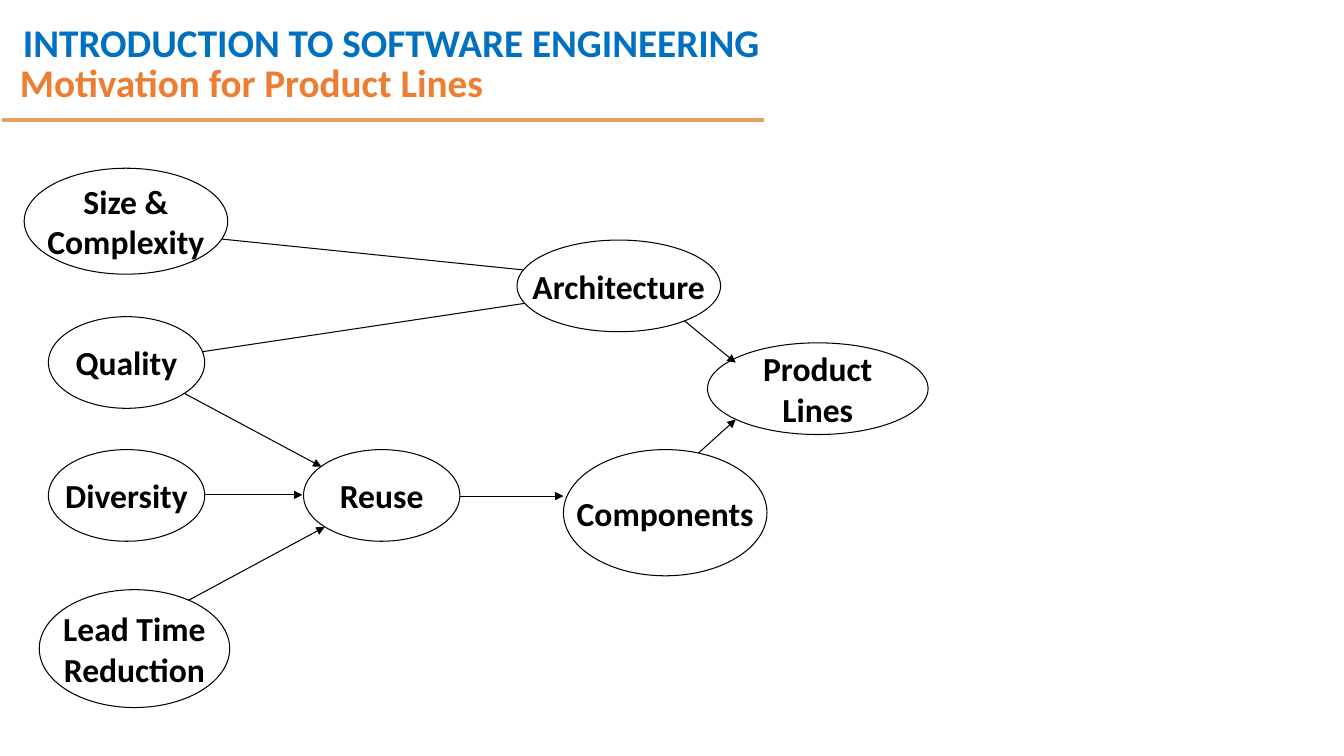
from dataclasses import dataclass

from lxml.etree import SubElement
from pptx import Presentation
from pptx.dml.color import RGBColor
from pptx.enum.shapes import MSO_CONNECTOR, MSO_SHAPE
from pptx.enum.text import MSO_ANCHOR, PP_ALIGN
from pptx.oxml.ns import qn
from pptx.util import Cm, Pt


@dataclass(frozen=True)
class Theme:
    font: str = "Calibri"
    blue: RGBColor = RGBColor(0x00, 0x70, 0xC0)
    orange: RGBColor = RGBColor(0xED, 0x7D, 0x31)
    rule: RGBColor = RGBColor(0xDF, 0xA2, 0x67)
    ink: RGBColor = RGBColor(0, 0, 0)
    paper: RGBColor = RGBColor(0xFF, 0xFF, 0xFF)
    heading: Pt = Pt(28)
    label: Pt = Pt(24)
    thin: Pt = Pt(0.75)
    thick: Pt = Pt(3)


THEME = Theme()

# Label, left, top, width, height (cm), filled
BUBBLES = [
    ("Size &\vComplexity", 0.61, 4.24, 5.13, 2.67, True),
    ("Quality", 1.22, 7.98, 3.94, 2.31, True),
    ("Diversity", 1.22, 11.33, 3.94, 2.31, True),
    ("Lead Time\nReduction", 0.99, 14.86, 4.8, 2.97, True),
    ("Architecture", 13.03, 6.05, 5.13, 2.31, True),
    ("Reuse", 7.65, 11.33, 3.94, 2.31, True),
    ("Components", 14.2, 11.33, 5.13, 3.18, True),
    ("Product\nLines", 17.83, 8.64, 5.56, 2.31, False),
]

# Start x, y and end x, y (cm)
ARROWS = [
    (3.3, 5.79, 14.25, 6.91),     # size to architecture
    (3.25, 9.14, 14.25, 7.49),    # quality to architecture
    (3.35, 9.22, 8.1, 11.76),     # quality to reuse
    (3.35, 12.47, 7.62, 12.47),   # diversity to reuse
    (3.35, 15.88, 8.18, 13.28),   # lead time to reuse
    (11.58, 12.5, 14.2, 12.5),    # reuse to components
    (16.18, 7.21, 18.54, 9.14),   # architecture to product lines
    (16.18, 12.7, 18.54, 10.57),  # components to product lines
]


def style(p, size, color):
    p.font.name = THEME.font
    p.font.size = size
    p.font.bold = True
    p.font.color.rgb = color


def add_heading(s, text, box, color, spacing, anchor):
    tf = s.shapes.add_textbox(*map(Cm, box)).text_frame
    tf.word_wrap = True
    tf.vertical_anchor = anchor
    p = tf.paragraphs[0]
    p.text = text
    p.line_spacing = spacing
    style(p, THEME.heading, color)


def add_line(s, ends, color, width, arrow=False):
    line = s.shapes.add_connector(MSO_CONNECTOR.STRAIGHT, *map(Cm, ends))
    line.line.color.rgb = color
    line.line.width = width
    if arrow:
        SubElement(line.line._get_or_add_ln(), qn("a:tailEnd"), type="triangle")
    SubElement(line._element.spPr, qn("a:effectLst"))


def add_bubble(s, text, left, top, width, height, filled):
    sp = s.shapes.add_shape(MSO_SHAPE.OVAL, Cm(left), Cm(top), Cm(width), Cm(height))
    sp.shadow.inherit = False
    if filled:
        sp.fill.solid()
        sp.fill.fore_color.rgb = THEME.paper
    else:
        sp.fill.background()
    sp.line.color.rgb = THEME.ink
    sp.line.width = THEME.thin
    tf = sp.text_frame
    tf.word_wrap = False
    tf.vertical_anchor = MSO_ANCHOR.MIDDLE
    tf.text = text
    for p in tf.paragraphs:
        p.alignment = PP_ALIGN.CENTER
        style(p, THEME.label, THEME.ink)


def main():
    prs = Presentation()
    prs.slide_width, prs.slide_height = Cm(33.87), Cm(19.05)
    s = prs.slides.add_slide(prs.slide_layouts[6])

    add_heading(s, "INTRODUCTION TO SOFTWARE ENGINEERING",
                (0.33, -0.25, 25.07, 1.85), THEME.blue, 1.5, MSO_ANCHOR.TOP)
    add_line(s, (0.05, 3.02, 19.25, 3.02), THEME.rule, THEME.thick)
    add_heading(s, "Motivation for Product Lines",
                (0.25, 1.35, 29.21, 1.55), THEME.orange, 0.9, MSO_ANCHOR.MIDDLE)

    # Arrows lie behind the bubbles, which hide their inner ends
    for ends in ARROWS:
        add_line(s, ends, THEME.ink, THEME.thin, arrow=True)
    for bubble in BUBBLES:
        add_bubble(s, *bubble)

    prs.save("out.pptx")


if __name__ == "__main__":
    main()
